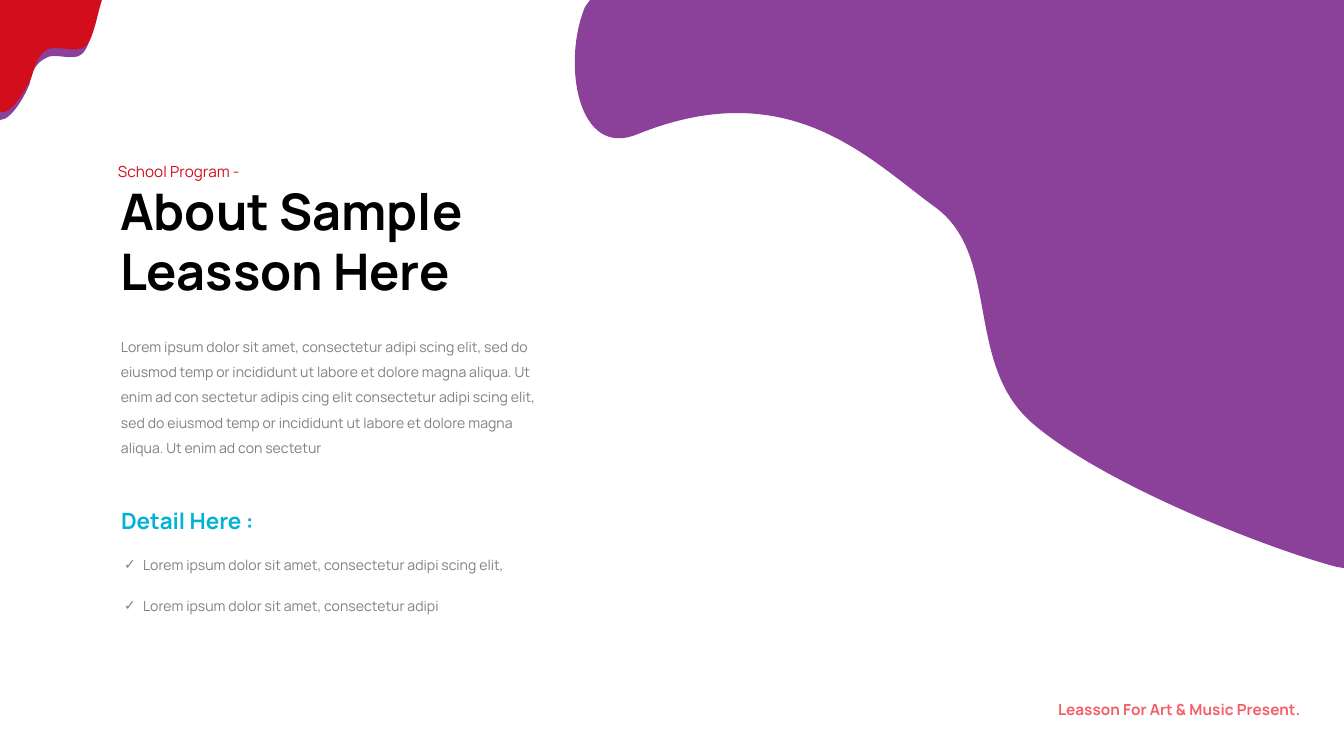
from dataclasses import dataclass

from lxml import etree
from pptx import Presentation
from pptx.dml.color import RGBColor
from pptx.enum.text import MSO_ANCHOR, MSO_AUTO_SIZE, PP_ALIGN
from pptx.oxml.ns import qn
from pptx.shapes.autoshape import Shape
from pptx.slide import Slide
from pptx.util import Emu, Pt

LEFT, RIGHT, JUSTIFY = PP_ALIGN.LEFT, PP_ALIGN.RIGHT, PP_ALIGN.JUSTIFY
TOP = MSO_ANCHOR.TOP
GROW = MSO_AUTO_SIZE.SHAPE_TO_FIT_TEXT

PURPLE = RGBColor(0x8B, 0x40, 0x9A)
RED = RGBColor(0xD2, 0x0E, 0x1C)
CORAL = RGBColor(0xF4, 0x5E, 0x69)
BLACK = RGBColor(0x00, 0x00, 0x00)
CYAN = RGBColor(0x01, 0xB2, 0xD4)
GRAY = RGBColor(0x80, 0x80, 0x80)

FONT = "Manrope"
PAGE_WIDTH, PAGE_HEIGHT = 1344, 756
EMU_PER_PX = 9144000 / PAGE_WIDTH
BULLET_INDENT = 19
CHECK_TOP, CHECK_PITCH = 541, 41

Point = tuple[int, int]


@dataclass(frozen=True)
class Blob:
    color: RGBColor
    top_left: Point
    bottom_right: Point
    start: Point
    segments: list[tuple[Point, ...]]


@dataclass(frozen=True)
class TextBlock:
    text: str
    left: int
    top: int
    width: int
    height: int
    size: float
    color: RGBColor
    bold: bool = False
    align: PP_ALIGN = LEFT
    line_spacing: float = 1.5
    inset_x: int = 13
    inset_y: int = 7
    bullet: str = ""


BLOBS = [
    Blob(PURPLE, (575, 0), (1344, 568), (1344, 568), [
        ((1337, 567),),
        ((1259, 546), (1098, 481), (1031, 422)),
        ((964, 362), (1001, 255), (935, 207)),
        ((870, 160), (790, 73), (638, 134)),
        ((577, 160), (562, 62), (585, 7)),
        ((590, 0),),
        ((1344, 0),),
    ]),
    Blob(PURPLE, (0, 8), (98, 120), (0, 8), [
        ((98, 8),),
        ((95, 19), (91, 46), (82, 54)),
        ((74, 62), (54, 52), (46, 58)),
        ((36, 63), (32, 71), (30, 83)),
        ((26, 94), (12, 120), (0, 120)),
    ]),
    Blob(RED, (0, 0), (102, 112), (0, 111), [
        ((0, 0),),
        ((102, 0),),
        ((98, 11), (94, 38), (86, 46)),
        ((77, 54), (58, 45), (48, 49)),
        ((39, 54), (35, 64), (32, 76)),
        ((28, 86), (12, 115), (1, 112)),
    ]),
]

TITLE = TextBlock("About Sample Leasson Here", 107, 173, 415, 136, 27, BLACK,
                  bold=True, line_spacing=1)
CHECKS = [
    TextBlock(text, 111, CHECK_TOP + row * CHECK_PITCH, 440, 39, 7.5, GRAY,
              align=JUSTIFY, bullet="✓")
    for row, text in enumerate((
        "Lorem ipsum dolor sit amet, consectetur adipi scing elit,",
        "Lorem ipsum dolor sit amet, consectetur adipi",
    ))
]
TEXT_BOXES = [
    TextBlock("Leasson For Art & Music Present.", 933, 686, 378, 38, 8.25, CORAL,
              bold=True, align=RIGHT, inset_x=10, inset_y=5),
    TextBlock("School Program -", 108, 148, 169, 38, 8.25, RED,
              align=JUSTIFY, inset_x=10, inset_y=5),
    TextBlock("Detail Here :", 108, 487, 261, 54, 12, CYAN, bold=True, align=JUSTIFY),
    TextBlock("Lorem ipsum dolor sit amet, consectetur adipi scing elit, sed do eiusmod "
              "temp or incididunt ut labore et dolore magna aliqua. Ut enim ad con sectetur "
              "adipis cing elit consectetur adipi scing elit, sed do eiusmod temp or "
              "incididunt ut labore et dolore magna aliqua. Ut enim ad con sectetur",
              108, 323, 450, 141, 7.5, GRAY),
]


def px(length: float) -> Emu:
    return Emu(round(length * EMU_PER_PX))


def draw_blob(page: Slide, blob: Blob) -> None:
    left, top = blob.top_left
    builder = page.shapes.build_freeform(left, top, scale=EMU_PER_PX)
    builder.add_line_segments([blob.bottom_right], close=True)
    shape = builder.convert_to_shape()
    outline = shape._element.find(".//" + qn("a:path"))
    for command in list(outline):
        outline.remove(command)
    commands = [("a:moveTo", (blob.start,))]
    commands += [("a:cubicBezTo" if len(points) == 3 else "a:lnTo", points)
                 for points in blob.segments]
    commands.append(("a:close", ()))
    for tag, points in commands:
        command = etree.SubElement(outline, qn(tag))
        for x, y in points:
            etree.SubElement(command, qn("a:pt"), x=str(x - left), y=str(y - top))
    shape.shadow.inherit = False
    shape.fill.solid()
    shape.fill.fore_color.rgb = blob.color
    shape.line.fill.background()


def fill_text(box: Shape, block: TextBlock) -> None:
    box.left, box.top = px(block.left), px(block.top)
    box.width, box.height = px(block.width), px(block.height)
    frame = box.text_frame
    frame.text = block.text
    frame.word_wrap = True
    frame.auto_size = GROW
    frame.vertical_anchor = TOP
    frame.margin_left = frame.margin_right = px(block.inset_x)
    frame.margin_top = frame.margin_bottom = px(block.inset_y)
    para = frame.paragraphs[0]
    if block.bullet:
        properties = para._p.get_or_add_pPr()
        properties.set("marL", str(px(BULLET_INDENT)))
        properties.set("indent", str(px(-BULLET_INDENT)))
        etree.SubElement(properties, qn("a:buChar")).set("char", block.bullet)
    para.alignment = block.align
    para.line_spacing = block.line_spacing
    para.space_before = Pt(0)
    for span in para.runs:
        span.font.name = FONT
        span.font.size = Pt(block.size)
        span.font.bold = block.bold
        span.font.color.rgb = block.color


def main() -> None:
    deck = Presentation()
    deck.slide_width, deck.slide_height = px(PAGE_WIDTH), px(PAGE_HEIGHT)
    page = deck.slides.add_slide(deck.slide_layouts[3])
    for blob in BLOBS:
        draw_blob(page, blob)
    fill_text(page.shapes.title, TITLE)
    for index, check in enumerate(CHECKS, start=1):
        fill_text(page.placeholders[index], check)
    for block in TEXT_BOXES:
        fill_text(page.shapes.add_textbox(0, 0, 0, 0), block)
    deck.save("out.pptx")


if __name__ == "__main__":
    main()
